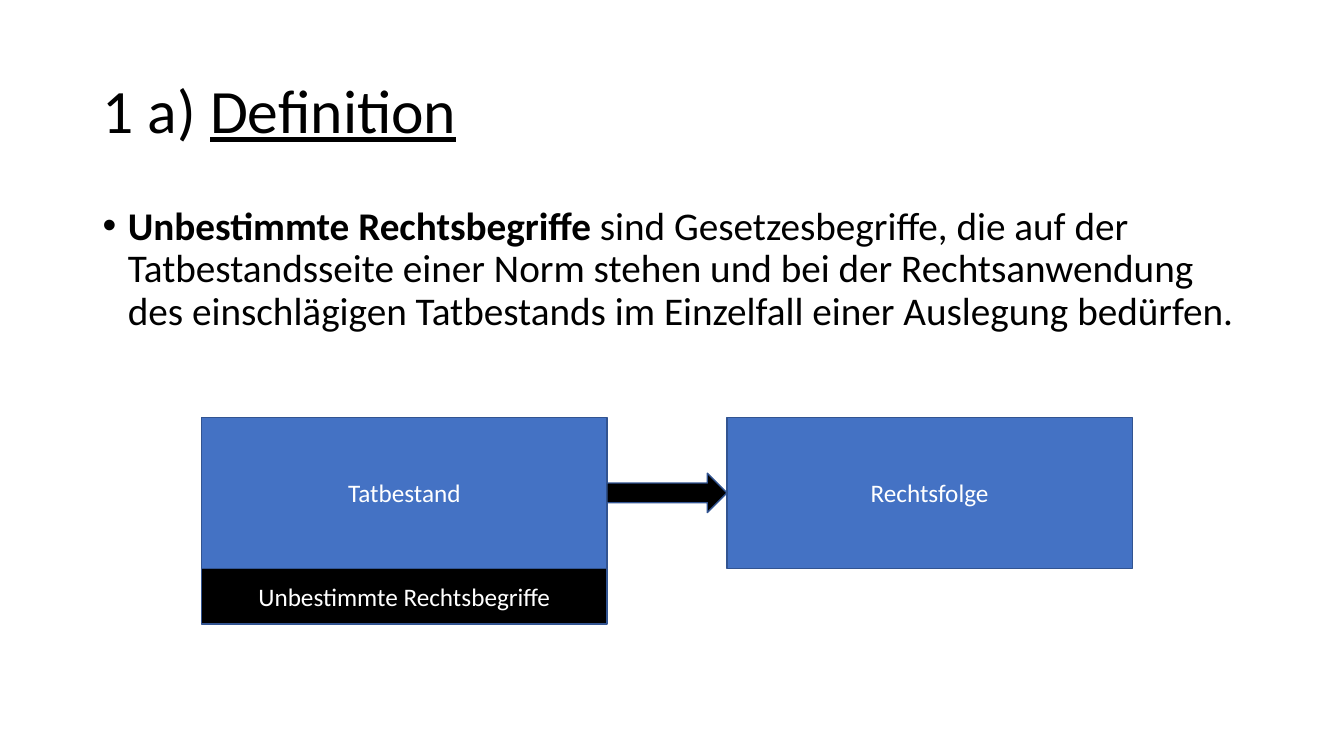
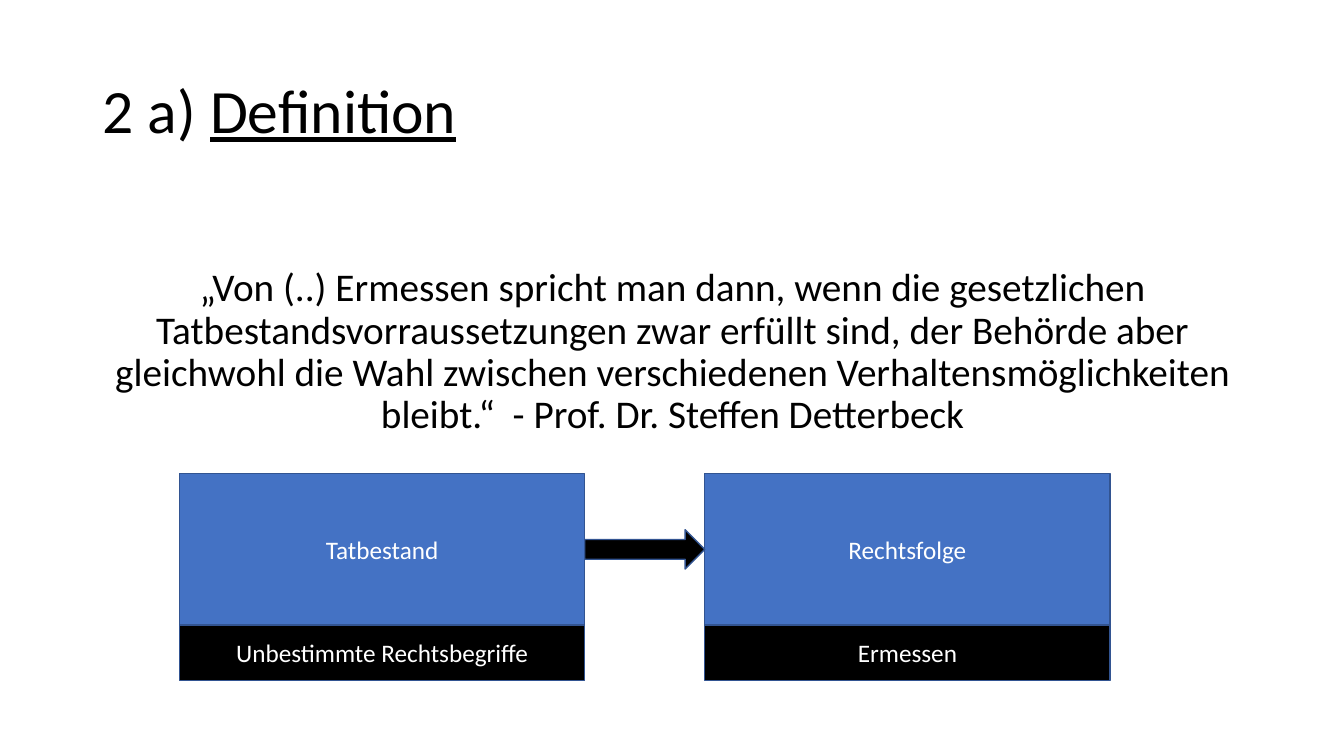
import pptx
import pptx.util
import pptx.dml.color
import pptx.enum.shapes
import pptx.enum.text
import pptx.oxml

Inches = pptx.util.Inches
Pt = pptx.util.Pt
Kind = pptx.enum.shapes.MSO_SHAPE
Align = pptx.enum.text.PP_ALIGN
Anchor = pptx.enum.text.MSO_ANCHOR

hues = {"ink": "000000", "paper": "FFFFFF", "blue": "4472C4", "edge": "325491"}

# Sizes shared by both flow charts
wide, high, foot = 4.02, 1.5, 0.55
gap, thick = 1.19, 0.39

# Formats of title, body and box text
base = {"name": "Calibri"}
title = {**base, "size": Pt(44)}
body = {**base, "size": Pt(28)}
label = {**base, "size": Pt(18)}

slides = [
    {
        "title": "1 a) ",
        "top": 2,
        "runs": [
            ("Unbestimmte Rechtsbegriffe ", {"bold": True}),
            ("sind Gesetzesbegriffe, die auf der Tatbestandsseite einer Norm "
             "stehen und bei der Rechtsanwendung des einschlägigen Tatbestands "
             "im Einzelfall einer Auslegung bedürfen.", {}),
        ],
        "bullet": True,
        "chart": (2, 4.14),
        "boxes": [("Tatbestand", "Unbestimmte Rechtsbegriffe"),
                  ("Rechtsfolge", None)],
    },
    {
        "title": "2 a) ",
        "top": 2.61,
        "runs": [
            ("„Von (..) Ermessen spricht man dann, wenn die gesetzlichen "
             "Tatbestandsvorraussetzungen zwar erfüllt sind, der Behörde aber "
             "gleichwohl die Wahl zwischen verschiedenen "
             "Verhaltensmöglichkeiten bleibt.“  - Prof. Dr. Steffen Detterbeck",
             {}),
        ],
        "bullet": False,
        "chart": (1.78, 4.7),
        "boxes": [("Tatbestand", "Unbestimmte Rechtsbegriffe"),
                  ("Rechtsfolge", "Ermessen")],
    },
]


def write(shape, runs, form, hue, align, anchor):
    """Fill a shape with one paragraph of formatted runs."""
    frame = shape.text_frame
    frame.word_wrap = True
    frame.vertical_anchor = anchor
    para = frame.paragraphs[0]
    para.alignment = align
    for text, extra in runs:
        run = para.add_run()
        run.text = text
        for key, value in {**form, **extra}.items():
            setattr(run.font, key, value)
        run.font.color.rgb = pptx.dml.color.RGBColor.from_string(hues[hue])
    return para


def block(slide, kind, left, top, width, height, fill, text=None):
    """Draw one outlined shape, with a centred label if given."""
    shape = slide.shapes.add_shape(
        kind, Inches(left), Inches(top), Inches(width), Inches(height))
    shape.shadow.inherit = False
    shape.fill.solid()
    shape.fill.fore_color.rgb = pptx.dml.color.RGBColor.from_string(hues[fill])
    shape.line.color.rgb = pptx.dml.color.RGBColor.from_string(hues["edge"])
    shape.line.width = Pt(1)
    if text:
        write(shape, [(text, {})], label, "paper", Align.CENTER, Anchor.MIDDLE)


deck = pptx.Presentation()
deck.slide_width = Inches(13.33)
deck.slide_height = Inches(7.5)

for page in slides:
    slide = deck.slides.add_slide(deck.slide_layouts[6])

    # Title
    head = slide.shapes.add_textbox(
        Inches(0.92), Inches(0.4), Inches(11.5), Inches(1.45))
    para = write(head, [(page["title"], {}), ("Definition", {"underline": True})],
                 title, "ink", Align.LEFT, Anchor.MIDDLE)
    para.line_spacing = 0.9

    # Body text
    text = slide.shapes.add_textbox(
        Inches(0.92), Inches(page["top"]), Inches(11.5), Inches(2))
    para = write(text, page["runs"], body, "ink",
                 Align.LEFT if page["bullet"] else Align.CENTER, Anchor.TOP)
    para.line_spacing = 0.9
    if page["bullet"]:
        props = para._p.get_or_add_pPr()
        props.set("marL", str(Inches(0.25)))
        props.set("indent", str(-Inches(0.25)))
        for tag, key, value in [("buFont", "typeface", "Arial"),
                                ("buChar", "char", "•")]:
            mark = pptx.oxml.parse_xml(
                f'<a:{tag} xmlns:a="http://schemas.openxmlformats.org/'
                f'drawingml/2006/main" {key}="{value}"/>')
            props.append(mark)

    # Flow chart: boxes with a black foot, joined by an arrow
    left, top = page["chart"]
    for i, (name, note) in enumerate(page["boxes"]):
        x = left + i * (wide + gap)
        block(slide, Kind.RECTANGLE, x, top, wide, high, "blue", name)
        if note:
            block(slide, Kind.RECTANGLE, x, top + high, wide, foot, "ink", note)
    block(slide, Kind.RIGHT_ARROW, left + wide, top + (high - thick) / 2,
          gap, thick, "ink")

deck.save("out.pptx")
